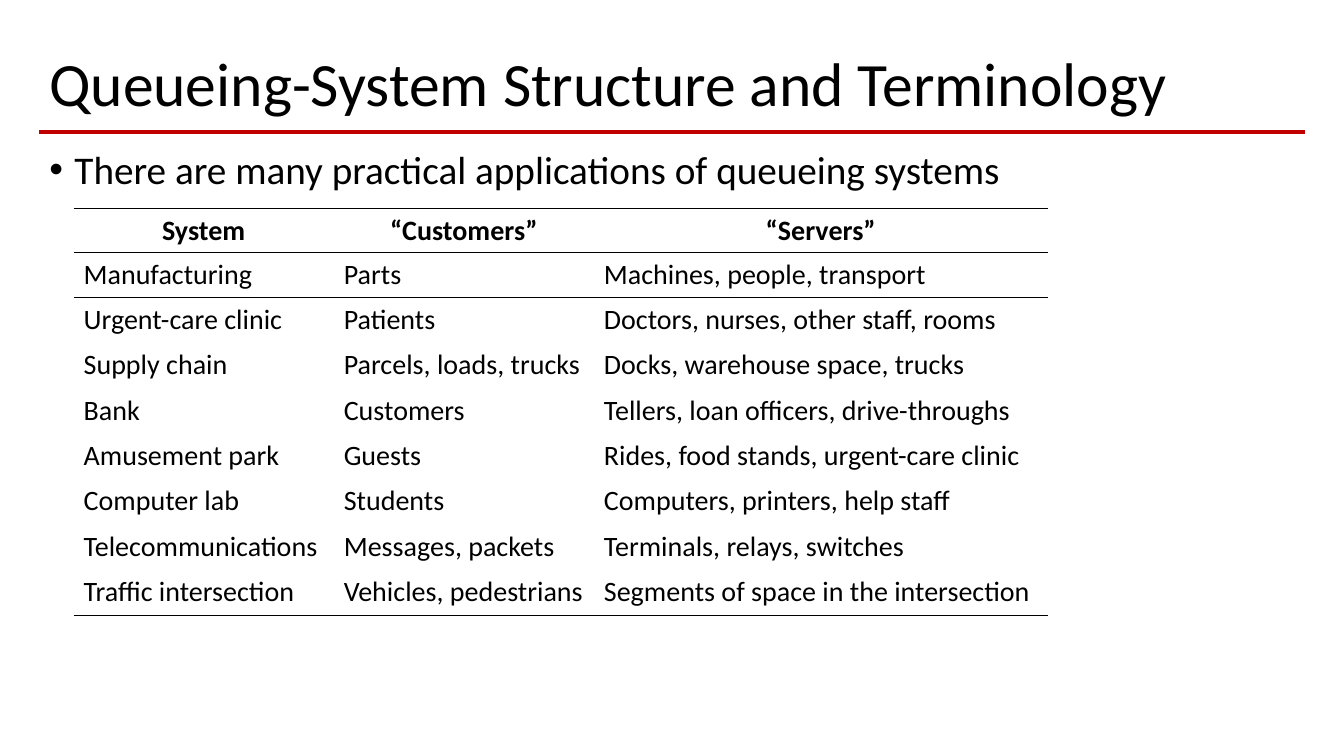
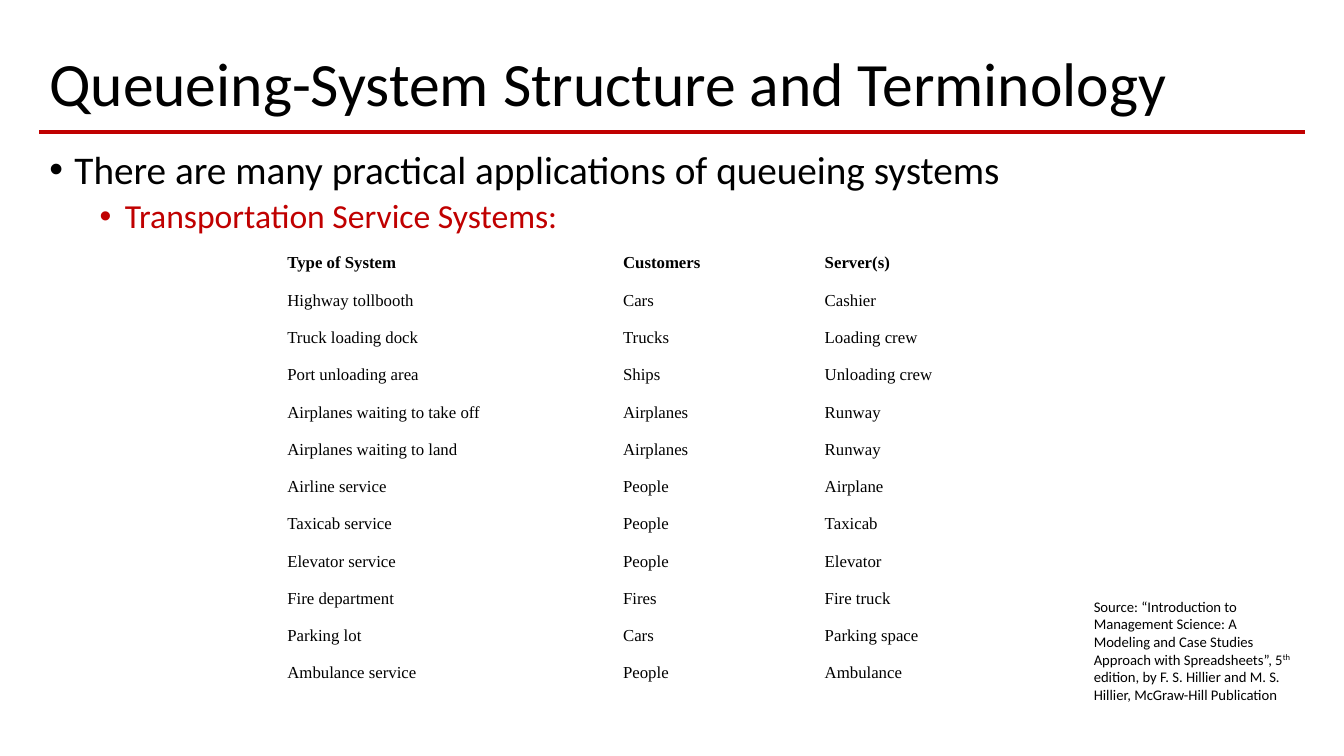
from dataclasses import dataclass

from lxml.etree import SubElement
from pptx import Presentation
from pptx.dml.color import RGBColor
from pptx.enum.shapes import MSO_CONNECTOR
from pptx.enum.text import MSO_ANCHOR, PP_ALIGN
from pptx.oxml.ns import qn
from pptx.util import Pt

SCALE = 9144  # EMU in one px, 100 px to the inch
PLAIN = "{2D5ABB26-0587-4C30-8999-92F81FD0307C}"  # table style without grid


@dataclass(frozen=True)
class Theme:
    sans: str = "Calibri"
    serif: str = "Times New Roman"
    ink: str = "000000"
    red: str = "C00000"
    title: float = 44
    body: float = 28
    sub: float = 24
    table: float = 20
    small: float = 12
    note: float = 10.5
    rule: float = 2.25
    edge: float = 1


THEME = Theme()
TITLE = "Queueing-System Structure and Terminology"
POINT = "There are many practical applications of queueing systems"
SYSTEMS = [
    ("System", "“Customers”", "“Servers”"),
    ("Manufacturing", "Parts", "Machines, people, transport"),
    ("Urgent-care clinic", "Patients", "Doctors, nurses, other staff, rooms"),
    ("Supply chain", "Parcels, loads, trucks", "Docks, warehouse space, trucks"),
    ("Bank", "Customers", "Tellers, loan officers, drive-throughs"),
    ("Amusement park", "Guests", "Rides, food stands, urgent-care clinic"),
    ("Computer lab", "Students", "Computers, printers, help staff"),
    ("Telecommunications", "Messages, packets", "Terminals, relays, switches"),
    ("Traffic intersection", "Vehicles, pedestrians",
     "Segments of space in the intersection"),
]
TRANSPORT = [
    ("Type of System", "Customers", "Server(s)"),
    ("Highway tollbooth", "Cars", "Cashier"),
    ("Truck loading dock", "Trucks", "Loading crew"),
    ("Port unloading area", "Ships", "Unloading crew"),
    ("Airplanes waiting to take off", "Airplanes", "Runway"),
    ("Airplanes waiting to land", "Airplanes", "Runway"),
    ("Airline service", "People", "Airplane"),
    ("Taxicab service", "People", "Taxicab"),
    ("Elevator service", "People", "Elevator"),
    ("Fire department", "Fires", "Fire truck"),
    ("Parking lot", "Cars", "Parking space"),
    ("Ambulance service", "People", "Ambulance"),
]
SOURCE = [
    ("Source: “Introduction to Management Science: A Modeling and Case Studies "
     "Approach with Spreadsheets”, 5", False),
    ("th", True),
    (" edition, by F. S. Hillier and M. S. Hillier, McGraw-Hill Publication", False),
]


def px(*values):
    return [value * SCALE for value in values]


def add_run(para, text, size, face=THEME.sans, color=THEME.ink, bold=False, raised=False):
    run = para.add_run()
    run.text = text
    font = run.font
    font.size, font.name, font.bold = Pt(size), face, bold
    font.color.rgb = RGBColor.from_string(color)
    if raised:
        run._r.get_or_add_rPr().set("baseline", "30000")


def add_box(slide, box, anchor=MSO_ANCHOR.TOP):
    frame = slide.shapes.add_textbox(*px(*box)).text_frame
    frame.word_wrap = True
    frame.vertical_anchor = anchor
    return frame


def add_head(slide, box):
    """Place the title with the red rule along the foot of its box."""
    left, top, width, height = box
    foot = top + height - 1
    line = slide.shapes.add_connector(
        MSO_CONNECTOR.STRAIGHT, *px(left, foot, left + width, foot))
    line.line.color.rgb = RGBColor.from_string(THEME.red)
    line.line.width = Pt(THEME.rule)
    SubElement(line._element.spPr, qn("a:effectLst"))
    para = add_box(slide, box, MSO_ANCHOR.MIDDLE).paragraphs[0]
    para.line_spacing = 0.9
    add_run(para, TITLE, THEME.title)


def add_points(slide, box, points):
    """Place bullets given as (text, level)."""
    styles = [(THEME.body, THEME.ink, 10), (THEME.sub, THEME.red, 5)]
    frame = add_box(slide, box)
    for order, (text, level) in enumerate(points):
        para = frame.add_paragraph() if order else frame.paragraphs[0]
        size, color, gap = styles[level]
        props = para._p.get_or_add_pPr()
        props.set("marL", str(px(25 + 50 * level)[0]))
        props.set("indent", str(px(-25)[0]))
        SubElement(props, qn("a:buFont"), typeface="Arial")
        SubElement(props, qn("a:buChar"), char="•")
        para.level = level
        para.line_spacing = 0.9
        if order:
            para.space_before = Pt(gap)
        add_run(para, text, size, color=color)


def add_edge(cell, side):
    line = SubElement(cell._tc.get_or_add_tcPr(), qn(f"a:ln{side}"),
                      w=str(Pt(THEME.edge)))
    fill = SubElement(line, qn("a:solidFill"))
    SubElement(fill, qn("a:srgbClr"), val=THEME.ink)


def add_grid(slide, spot, cols, head, step, rows, size, face, ruled=False):
    """Place a table; a ruled one has a centred header and three lines."""
    last = len(rows) - 1
    box = (*spot, sum(cols), head + step * last)
    grid = slide.shapes.add_table(len(rows), len(cols), *px(*box)).table
    grid._tbl.tblPr.find(qn("a:tableStyleId")).text = PLAIN
    grid.first_row = grid.horz_banding = False
    for col, width in zip(grid.columns, px(*cols)):
        col.width = width
    for i, texts in enumerate(rows):
        grid.rows[i].height = px(step if i else head)[0]
        for j, text in enumerate(texts):
            cell = grid.cell(i, j)
            if ruled and i < 2:
                add_edge(cell, "T")
            if ruled and i in (0, last):
                add_edge(cell, "B")
            cell.fill.background()
            para = cell.text_frame.paragraphs[0]
            if ruled and i == 0:
                para.alignment = PP_ALIGN.CENTER
            add_run(para, text, size, face, bold=i == 0)


def add_note(slide, box):
    para = add_box(slide, box).paragraphs[0]
    for text, raised in SOURCE:
        add_run(para, text, THEME.note, raised=raised)


def add_page(deck, points):
    slide = deck.slides.add_slide(deck.slide_layouts[6])
    add_head(slide, (39, 40, 1255, 92))
    add_points(slide, (39, 144, 1255, 532), points)
    return slide


def main():
    deck = Presentation()
    deck.slide_width, deck.slide_height = px(1333, 750)
    slide = add_page(deck, [(POINT, 0)])
    add_grid(slide, (73, 207), (258, 258, 450), 43, 45, SYSTEMS,
             THEME.table, THEME.sans, ruled=True)
    slide = add_page(deck, [(POINT, 0), ("Transportation Service Systems:", 1)])
    add_grid(slide, (275, 247), (333, 200, 250), 37, 37, TRANSPORT,
             THEME.small, THEME.serif)
    add_note(slide, (1075, 588, 219, 116))
    deck.save("out.pptx")


if __name__ == "__main__":
    main()
